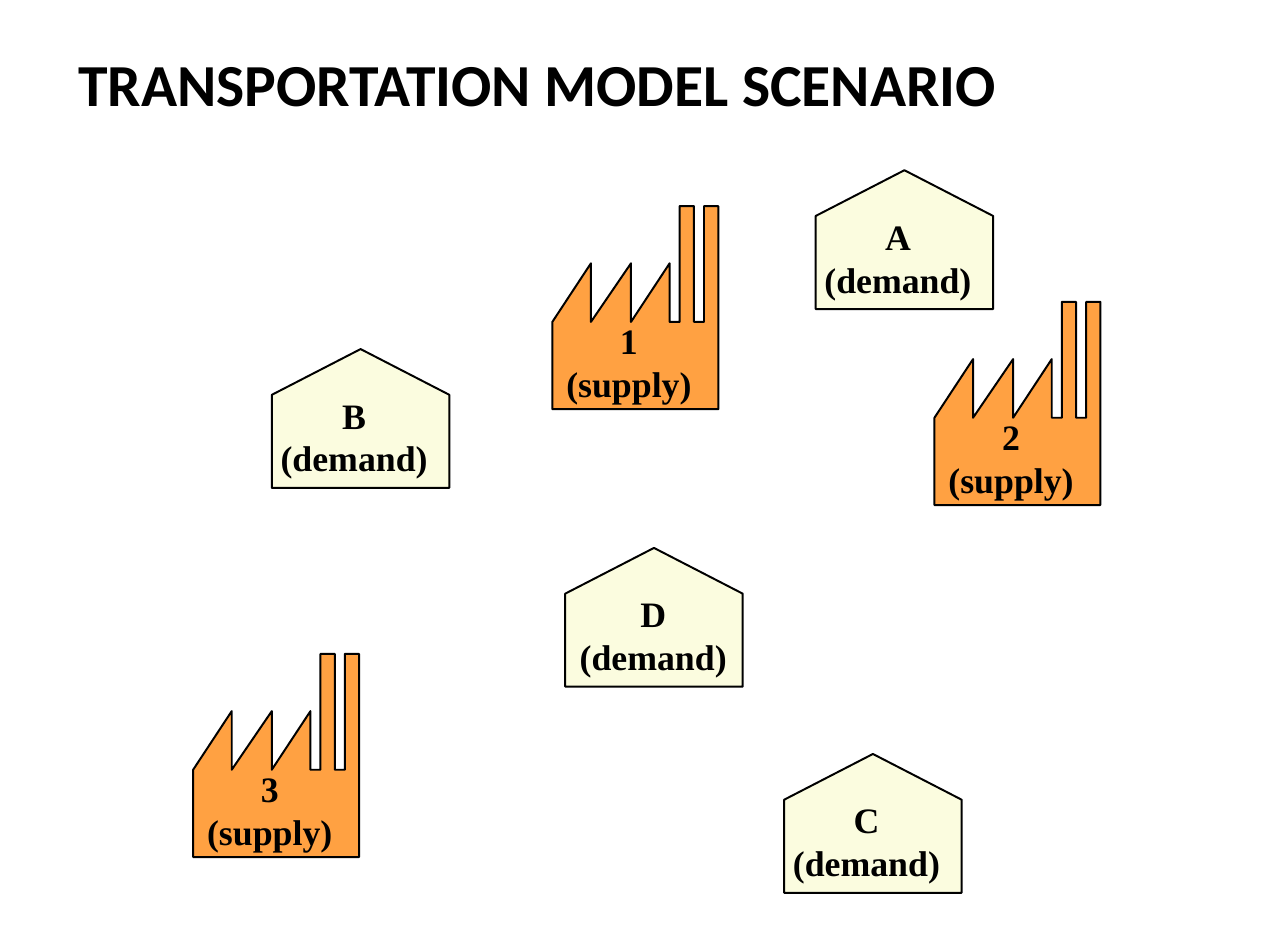
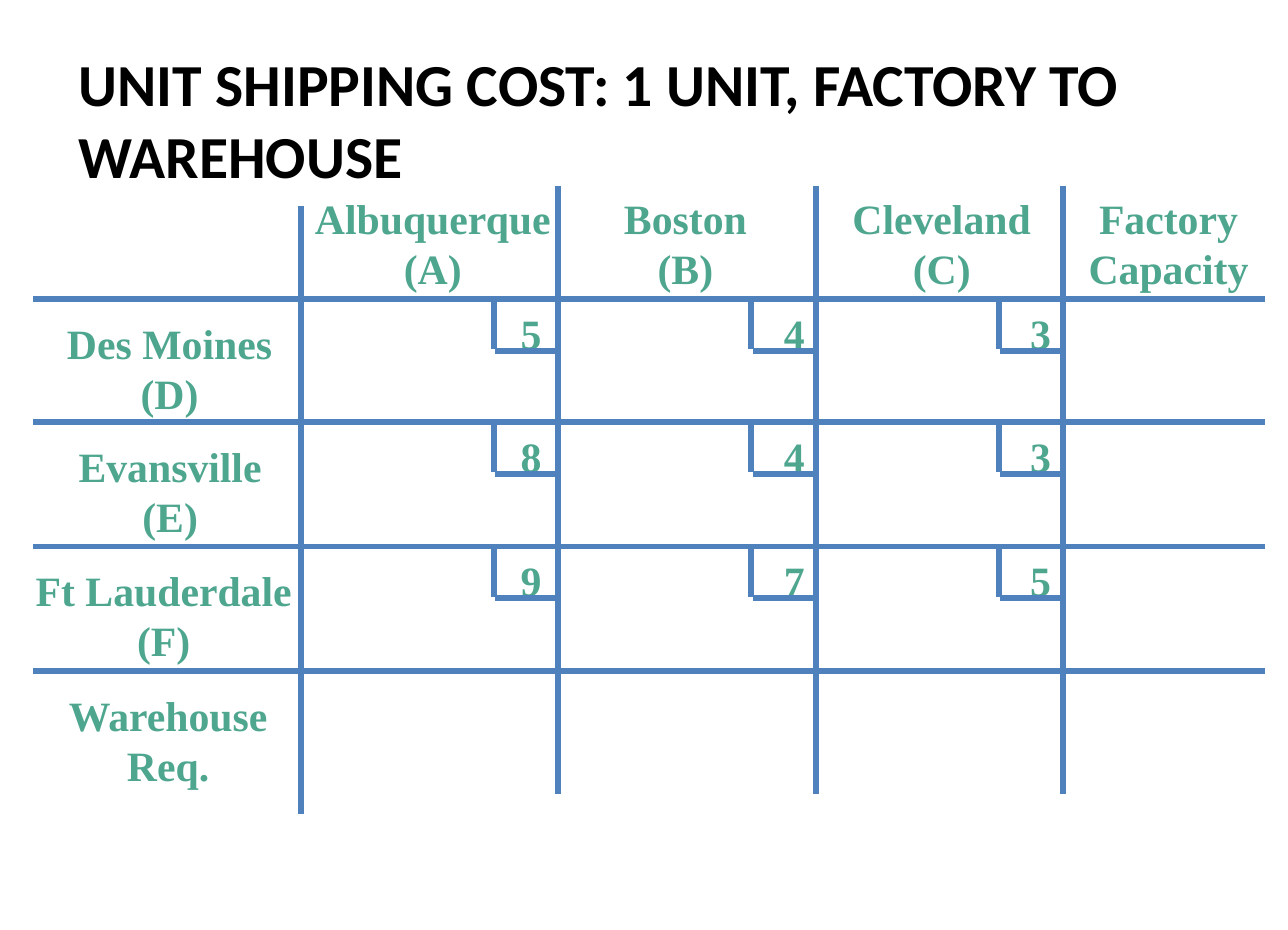
import pptx
import pptx.dml.color
import pptx.enum.shapes
import pptx.enum.text
import pptx.oxml.ns
import pptx.util
import lxml.etree

EMU_PER_PX = 9144
BLACK = pptx.dml.color.RGBColor(0x00, 0x00, 0x00)
GREEN = pptx.dml.color.RGBColor(0x4E, 0xA6, 0x8F)
BLUE = pptx.dml.color.RGBColor(0x4F, 0x81, 0xBD)
CREAM = pptx.dml.color.RGBColor(0xFB, 0xFC, 0xDF)
ORANGE = pptx.dml.color.RGBColor(0xFF, 0xA1, 0x42)

TITLE_FONT = "Calibri"
BODY_FONT = "Times New Roman"

HOUSE_OUTLINE = [(0, 97), (0, 32), (62, 0), (124, 32), (124, 97)]
FACTORY_OUTLINE = [
    (0, 81), (27, 40), (27, 81), (55, 40), (55, 81), (82, 40), (82, 81), (89, 81),
    (89, 0), (99, 0), (99, 81), (106, 81), (106, 0), (116, 0), (116, 142), (0, 142),
]
WAREHOUSES = [("D", 395, 383, 0), ("B", 190, 244, -4), ("C", 548, 527, -4), ("A", 570, 119, -4)]
FACTORIES = [("1", 386, 144), ("2", 653, 211), ("3", 135, 457)]

ROW_RULES = [209, 295, 382, 469]
COLUMN_RULES = [390, 570, 743]
ROW_LABELS = [
    ("Des Moines\n(D)", 38, 161),
    ("Evansville\n(E)", 46, 146),
    ("Ft Lauderdale\n(F)", 16, 197),
    ("Warehouse\nReq.", 38, 159),
]
COLUMN_LABELS = [
    ("Albuquerque\n(A)", 211, 183),
    ("Boston\n(B)", 427, 104),
    ("Cleveland\n(C)", 587, 142),
    ("Factory\nCapacity", 752, 129),
]
COST_LEFTS = [355, 539, 711]
COSTS = [[5, 4, 3], [8, 4, 3], [9, 7, 5]]


def px(length):
    return pptx.util.Emu(length * EMU_PER_PX)


def add_text(shapes, text, left, top, width, height, size=21, font=BODY_FONT, color=GREEN,
             centred=True, wrap=False, inset_x=5, inset_y=5):
    box = shapes.add_textbox(px(left), px(top), px(width), px(height))
    frame = box.text_frame
    frame.word_wrap = wrap
    if not wrap:
        frame.auto_size = pptx.enum.text.MSO_AUTO_SIZE.SHAPE_TO_FIT_TEXT
    frame.margin_left = frame.margin_right = px(inset_x)
    frame.margin_top = frame.margin_bottom = px(inset_y)
    for index, line in enumerate(text.split("\n")):
        paragraph = frame.paragraphs[0] if index == 0 else frame.add_paragraph()
        if centred:
            paragraph.alignment = pptx.enum.text.PP_ALIGN.CENTER
        run = paragraph.add_run()
        run.text = line
        run.font.name = font
        run.font.size = pptx.util.Pt(size)
        run.font.bold = True
        run.font.color.rgb = color


def add_titled_slide(presentation, title, title_width):
    slide = presentation.slides.add_slide(presentation.slide_layouts[6])
    add_text(slide.shapes, title, 45, 28, title_width, 68, size=30, font=TITLE_FONT,
             color=BLACK, centred=False, wrap=True, inset_x=10)
    return slide


def add_outline(shapes, points, left, top, fill):
    builder = shapes.build_freeform(*points[0], scale=EMU_PER_PX)
    builder.add_line_segments(points[1:], close=True)
    shape = builder.convert_to_shape(px(left), px(top))
    shape.shadow.inherit = False
    shape.fill.solid()
    shape.fill.fore_color.rgb = fill
    shape.line.color.rgb = BLACK
    shape.line.width = pptx.util.Pt(1)


def add_site(slide, outline, fill, left, top, text, label_left, label_top, label_width):
    group = slide.shapes.add_group_shape()
    add_outline(group.shapes, outline, left, top, fill)
    add_text(group.shapes, text, left + label_left, top + label_top, label_width, 70,
             size=18, color=BLACK)


def add_rule(slide, start_x, start_y, end_x, end_y):
    rule = slide.shapes.add_connector(pptx.enum.shapes.MSO_CONNECTOR.STRAIGHT,
                                      px(start_x), px(start_y), px(end_x), px(end_y))
    rule.line.color.rgb = BLUE
    rule.line.width = pptx.util.Pt(3)
    lxml.etree.SubElement(rule._element.spPr, pptx.oxml.ns.qn("a:effectLst"))


def add_cost(slide, cost, text_left, column_rule, row_rule):
    add_text(slide.shapes, str(cost), text_left, row_rule + 1, 32, 44)
    add_rule(slide, column_rule - 45, row_rule, column_rule - 45, row_rule + 35)
    add_rule(slide, column_rule - 44, row_rule + 36, column_rule - 1, row_rule + 36)


def build_scenario(presentation):
    slide = add_titled_slide(presentation, "TRANSPORTATION MODEL SCENARIO", 735)
    for name, left, top, label_left in WAREHOUSES:
        add_site(slide, HOUSE_OUTLINE, CREAM, left, top, f"{name}\n(demand)", label_left, 26, 123)
    for name, left, top in FACTORIES:
        add_site(slide, FACTORY_OUTLINE, ORANGE, left, top, f"{name}\n(supply)", 0, 74, 107)


def build_costs(presentation):
    slide = add_titled_slide(presentation, "UNIT SHIPPING COST: 1 UNIT, FACTORY TO WAREHOUSE", 828)
    for row_rule, (text, left, width) in zip(ROW_RULES, ROW_LABELS):
        add_text(slide.shapes, text, left, row_rule + 8, width, 79)
        add_rule(slide, 23, row_rule, 884, row_rule)
    for text, left, width in COLUMN_LABELS:
        add_text(slide.shapes, text, left, 130, width, 79)
    add_rule(slide, 210, 144, 210, 569)
    for column_rule in COLUMN_RULES:
        add_rule(slide, column_rule, 130, column_rule, 555)
    for row_rule, row_costs in zip(ROW_RULES, COSTS):
        for cost, text_left, column_rule in zip(row_costs, COST_LEFTS, COLUMN_RULES):
            add_cost(slide, cost, text_left, column_rule, row_rule)


def main():
    presentation = pptx.Presentation()
    presentation.slide_width = px(900)
    presentation.slide_height = px(650)
    build_scenario(presentation)
    build_costs(presentation)
    presentation.save("out.pptx")


if __name__ == "__main__":
    main()
